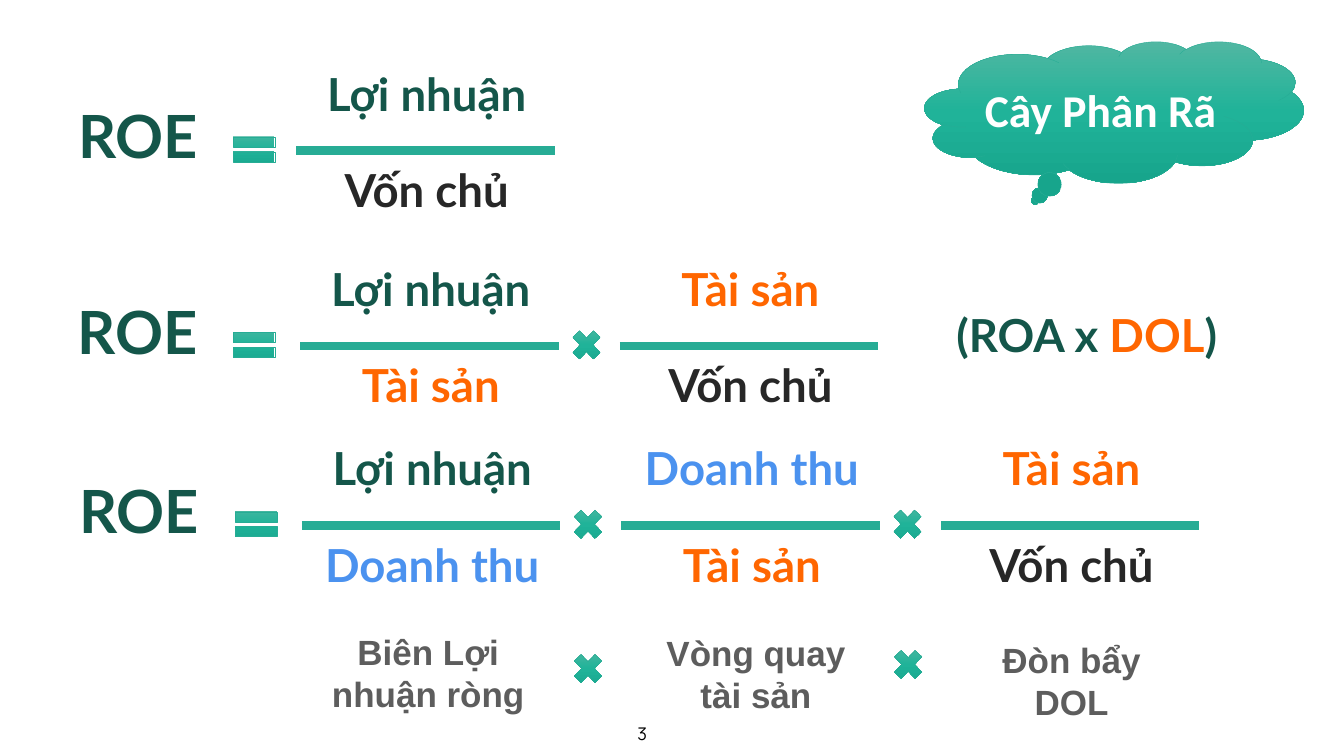
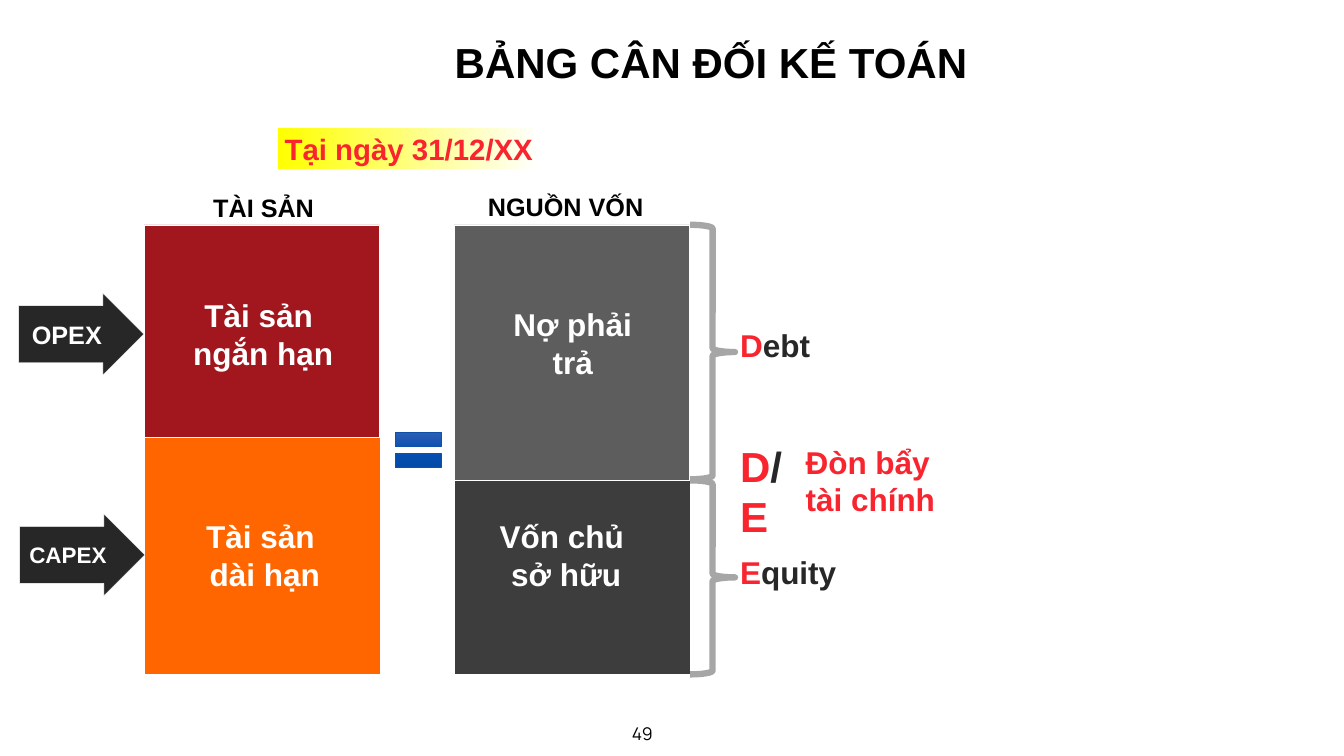
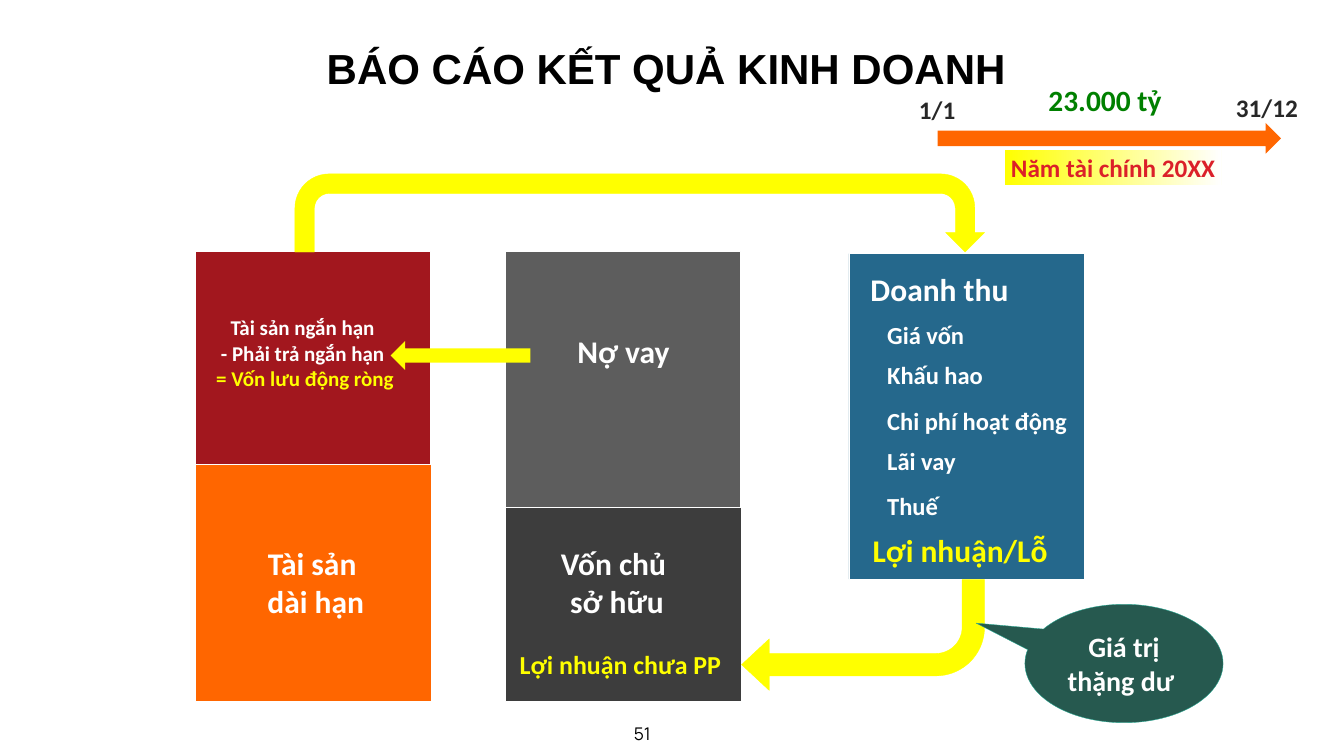
from dataclasses import dataclass, replace
from typing import NamedTuple, Optional, Union

from lxml.etree import SubElement
from pptx import Presentation
from pptx.dml.color import RGBColor
from pptx.enum.shapes import MSO_CONNECTOR, MSO_SHAPE as Preset
from pptx.enum.text import MSO_ANCHOR as Anchor, MSO_AUTO_SIZE as AutoSize, PP_ALIGN as Align
from pptx.oxml.ns import qn
from pptx.shapes.autoshape import Shape
from pptx.slide import Slide
from pptx.text.text import Font, TextFrame
from pptx.util import Pt

WHITE = RGBColor(0xFF, 0xFF, 0xFF)
BLACK = RGBColor(0, 0, 0)
INK = RGBColor(0x27, 0x27, 0x27)
DARK_GREEN = RGBColor(0x14, 0x56, 0x4A)
BUBBLE_GREEN = RGBColor(0x26, 0x59, 0x4F)
TEAL = RGBColor(0x27, 0xAC, 0x95)
MONEY_GREEN = RGBColor(0, 0x80, 0)
ORANGE = RGBColor(0xFF, 0x66, 0)
SKY = RGBColor(0x4B, 0x92, 0xEF)
NAVY = RGBColor(0x0F, 0x51, 0xA9)
STEEL = RGBColor(0x25, 0x68, 0x8C)
CRIMSON = RGBColor(0xA2, 0x17, 0x1E)
RED = RGBColor(0xF8, 0x24, 0x2E)
YEAR_RED = RGBColor(0xDB, 0x20, 0x29)
YELLOW = RGBColor(0xFF, 0xFF, 0)
GREY = RGBColor(0x5D, 0x5D, 0x5D)
CHARCOAL = RGBColor(0x3D, 0x3D, 0x3D)
SILVER = RGBColor(0xA6, 0xA6, 0xA6)


class Gradient(NamedTuple):
    colours: tuple[RGBColor, ...]
    angle: int


TEAL_FADE = Gradient((RGBColor(0x51, 0xB7, 0xA2), RGBColor(0x20, 0xB3, 0x99),
                      RGBColor(0x17, 0xA5, 0x8C)), 90)
BLUE_FADE = Gradient((RGBColor(0x4C, 0x69, 0xB5), RGBColor(0x07, 0x50, 0xB1),
                      RGBColor(0, 0x46, 0xA4)), 90)
YELLOW_FADE = Gradient((YELLOW, WHITE), 0)


class Box(NamedTuple):
    left: float
    top: float
    width: float
    height: float


@dataclass(frozen=True)
class TextStyle:
    font: str
    size: float
    colour: RGBColor
    bold: bool = True
    align: Align = Align.CENTER
    spacing: Union[Pt, float, None] = None


@dataclass(frozen=True)
class Look:
    fill: Union[RGBColor, Gradient, None] = None
    line: Optional[RGBColor] = None
    weight: float = 0.5


TERM = TextStyle("Lato", 65, DARK_GREEN, spacing=Pt(30))
ROE = replace(TERM, size=85, align=Align.LEFT)
TITLE = TextStyle("Arial", 60, BLACK, align=Align.LEFT, spacing=1.1)
PAGE_NUMBER = TextStyle("Manrope", 25, BLACK, bold=False)
HEADING = TextStyle("Arial", 36, BLACK)
CAPTION = TextStyle("Arial", 50, GREY)
BLOCK = TextStyle("Arial", 45, WHITE)
KEY = TextStyle("Arial", 45, RED, align=Align.LEFT)
CALIBRI = TextStyle("Calibri", 45, WHITE)
CALIBRI_LEFT = replace(CALIBRI, align=Align.LEFT)
TEAL_LOOK = Look(TEAL_FADE, TEAL)


def format_font(font: Font, style: TextStyle) -> None:
    font.name = style.font
    font.size = Pt(style.size)
    font.bold = style.bold
    font.color.rgb = style.colour


def write(frame: TextFrame, text: str, style: TextStyle) -> None:
    frame.text = text
    for paragraph in frame.paragraphs:
        paragraph.alignment = style.align
        if style.spacing is not None:
            paragraph.line_spacing = style.spacing
        for run in paragraph.runs:
            format_font(run.font, style)


def append_run(frame: TextFrame, text: str, style: TextStyle, colour: RGBColor) -> None:
    run = frame.paragraphs[-1].add_run()
    run.text = text
    format_font(run.font, replace(style, colour=colour))


def add_text(slide: Slide, box: Box, text: str, style: TextStyle, wrap: bool = True) -> TextFrame:
    frame = slide.shapes.add_textbox(*map(Pt, box)).text_frame
    frame.word_wrap = wrap
    frame.auto_size = AutoSize.SHAPE_TO_FIT_TEXT
    write(frame, text, style)
    return frame


def fill_gradient(shape: Shape, gradient: Gradient) -> None:
    shape.fill.gradient()
    shape.fill.gradient_angle = -gradient.angle % 360
    stops = shape.element.spPr.find(".//" + qn("a:gsLst"))
    for stop in list(stops):
        stops.remove(stop)
    step = 100000 // (len(gradient.colours) - 1)
    for index, colour in enumerate(gradient.colours):
        stop = SubElement(stops, qn("a:gs"), pos=str(index * step))
        SubElement(stop, qn("a:srgbClr"), val=str(colour))


def add_preset(slide: Slide, kind: Preset, box: Box, look: Look,
               adjustments: tuple[float, ...] = ()) -> Shape:
    shape = slide.shapes.add_shape(kind, *map(Pt, box))
    shape.shadow.inherit = False
    if isinstance(look.fill, Gradient):
        fill_gradient(shape, look.fill)
    elif look.fill is None:
        shape.fill.background()
    else:
        shape.fill.solid()
        shape.fill.fore_color.rgb = look.fill
    if look.line is None:
        shape.line.fill.background()
    else:
        shape.line.color.rgb = look.line
        shape.line.width = Pt(look.weight)
    for index, value in enumerate(adjustments):
        shape.adjustments[index] = value
    return shape


def label(shape: Shape, text: str, style: TextStyle, anchor: Anchor = Anchor.MIDDLE,
          wrap: bool = True) -> None:
    frame = shape.text_frame
    frame.word_wrap = wrap
    frame.vertical_anchor = anchor
    write(frame, text, style)


def add_page_number(slide: Slide, number: int) -> None:
    add_text(slide, Box(860.4, 1028.9, 113.8, 37.4), str(number), PAGE_NUMBER)


def set_title(slide: Slide, box: Box, text: str) -> None:
    title = slide.shapes.title
    title.left, title.top, title.width, title.height = map(Pt, box)
    frame = title.text_frame
    frame.auto_size = AutoSize.NONE
    frame.vertical_anchor = Anchor.TOP
    write(frame, text, TITLE)


# ROE formulas

class Term(NamedTuple):
    text: str
    colour: RGBColor


class Equation(NamedTuple):
    top: float
    roe_left: float
    equals_left: float
    left: float
    fractions: tuple[tuple[Term, Term], ...]


PROFIT = Term("Lợi nhuận", DARK_GREEN)
EQUITY = Term("Vốn chủ", INK)
ASSETS = Term("Tài sản", ORANGE)
REVENUE = Term("Doanh thu", SKY)

EQUATIONS = (
    Equation(138.2, 104.4, 321.8, 392.4, ((PROFIT, EQUITY),)),
    Equation(417.4, 103.7, 321.8, 398.2, ((PROFIT, ASSETS), (ASSETS, EQUITY))),
    Equation(673.6, 105.8, 324.7, 400.3,
             ((PROFIT, REVENUE), (REVENUE, ASSETS), (ASSETS, EQUITY))),
)
FRACTION_PITCH = 456.5
TIMES_OFFSET = 411


def add_times(slide: Slide, left: float, top: float) -> None:
    add_preset(slide, Preset.MATH_MULTIPLY, Box(left, top, 56.9, 59.8), TEAL_LOOK)


def add_fraction(slide: Slide, left: float, top: float, terms: tuple[Term, Term]) -> None:
    for term, offset in zip(terms, (0, 137.5)):
        add_text(slide, Box(left, top + offset, 434.2, 45.4), term.text,
                 replace(TERM, colour=term.colour))
    bar_left, bar_top = left + 30.8, top + 77
    bar = slide.shapes.add_connector(MSO_CONNECTOR.STRAIGHT, Pt(bar_left), Pt(bar_top),
                                     Pt(bar_left + 369), Pt(bar_top))
    bar.line.color.rgb = TEAL
    bar.line.width = Pt(12)
    SubElement(bar._element.spPr, qn("a:effectLst"))


def add_equation(slide: Slide, equation: Equation) -> None:
    top = equation.top
    add_text(slide, Box(equation.roe_left, top + 72, 285.8, 49.7), "ROE", ROE)
    add_preset(slide, Preset.MATH_EQUAL, Box(equation.equals_left, top + 45, 81.4, 60.5),
               TEAL_LOOK)
    for index, terms in enumerate(equation.fractions):
        left = equation.left + index * FRACTION_PITCH
        add_fraction(slide, left, top, terms)
        if index:
            add_times(slide, left - FRACTION_PITCH + TIMES_OFFSET, top + 45.4)


def build_roe(slide: Slide) -> None:
    cloud = add_preset(slide, Preset.CLOUD_CALLOUT, Box(1320.5, 59, 541.4, 202.3), TEAL_LOOK)
    label(cloud, "Cây Phân Rã", replace(CALIBRI, size=65))
    for equation in EQUATIONS:
        add_equation(slide, equation)
    summary = add_text(slide, Box(1334.9, 483.8, 434.2, 45.4), "(ROA x ", TERM)
    append_run(summary, "DOL", TERM, ORANGE)
    append_run(summary, ")", TERM, DARK_GREEN)
    for left, top, text in ((452.2, 897.8, "Biên Lợi nhuận ròng"),
                            (920.2, 898.6, "Vòng quay tài sản"),
                            (1370.9, 907.9, "Đòn bẩy DOL")):
        add_text(slide, Box(left, top, 319, 128.2), text, CAPTION)
    add_times(slide, 811.4, 925.2)
    add_times(slide, 1268.6, 919.4)


# Balance sheet and income statement

class Tile(NamedTuple):
    left: float
    top: float
    height: float
    colour: RGBColor


TILES = (
    Tile(0, 0, 303.8, CRIMSON),
    Tile(0.7, 303.8, 338.4, ORANGE),
    Tile(442.8, 0, 365, GREY),
    Tile(443.5, 365.4, 277.2, CHARCOAL),
)
TILE_WIDTH = 336.2


def add_balance_sheet(slide: Slide, left: float, top: float, style: TextStyle) -> None:
    for tile in TILES:
        add_preset(slide, Preset.RECTANGLE,
                   Box(left + tile.left, top + tile.top, TILE_WIDTH, tile.height),
                   Look(tile.colour, WHITE))
    for offset, text in ((46.4, "Tài sản \ndài hạn"), (476.7, "Vốn chủ \nsở hữu")):
        add_text(slide, Box(left + offset, top + 414, 252, 116.6), text, style)


def build_balance_sheet(slide: Slide) -> None:
    set_title(slide, Box(642.2, 41, 851, 81.4), "BẢNG CÂN ĐỐI KẾ TOÁN")
    add_balance_sheet(slide, 205.9, 321.1, BLOCK)
    add_text(slide, Box(249.8, 419, 252, 116.6), "Tài sản \nngắn hạn", BLOCK)
    add_text(slide, Box(691.9, 432, 252, 116.6), "Nợ phải trả", BLOCK)
    for box, text in ((Box(296.6, 270.7, 169.9, 51.1), "TÀI SẢN "),
                      (Box(688.3, 270, 239, 51.1), "NGUỒN VỐN")):
        heading = add_text(slide, box, text, HEADING, wrap=False)
        heading.vertical_anchor = Anchor.MIDDLE
    add_preset(slide, Preset.MATH_EQUAL, Box(553, 599.8, 89.3, 85), Look(BLUE_FADE, NAVY))

    for left, top, text, size in ((26.6, 419, "OPEX", 36), (28.1, 734.4, "CAPEX", 32)):
        arrow = add_preset(slide, Preset.RIGHT_ARROW, Box(left, top, 178.6, 116.6),
                           Look(INK, WHITE), (0.698, 0.5))
        label(arrow, text, replace(BLOCK, size=size))
    for top, height in ((321.1, 363.6), (686.2, 277.2)):
        add_preset(slide, Preset.RIGHT_BRACE, Box(985.7, top, 64.1, height),
                   Look(line=SILVER, weight=9))
    for top, initial, rest in ((462.2, "D", "ebt"), (787, "E", "quity")):
        word = add_text(slide, Box(1049.8, top, 172.1, 61.9), initial, KEY)
        append_run(word, rest, KEY, INK)

    ratio_style = replace(KEY, size=60)
    ratio = add_text(slide, Box(1049.8, 625.7, 111.6, 152.6), "D", ratio_style)
    append_run(ratio, "/", ratio_style, INK)
    append_run(ratio, "E", ratio_style, RED)
    add_text(slide, Box(1143.4, 628.6, 358.6, 116.6), "Đòn bẩy\ntài chính", KEY)
    date = add_preset(slide, Preset.RECTANGLE, Box(397.4, 182.9, 373, 58.3), Look(YELLOW_FADE))
    label(date, "Tại ngày 31/12/XX", replace(KEY, size=42, align=Align.CENTER), wrap=False)


COSTS = ((452.9, "Giá vốn"), (511.2, "Khấu hao"), (576.7, "Chi phí hoạt động"),
         (633.6, "Lãi vay"), (697.7, "Thuế"))


def add_financial_year(slide: Slide) -> None:
    add_preset(slide, Preset.RIGHT_ARROW, Box(1339.2, 175.7, 490.3, 43.9), Look(ORANGE))
    end_style = replace(CALIBRI, size=36, colour=INK)
    add_text(slide, Box(1212.5, 131, 252, 51.1), "1/1", end_style)
    add_text(slide, Box(1683.4, 128.2, 252, 51.1), "31/12", end_style)
    year = add_preset(slide, Preset.RECTANGLE, Box(1435, 213.8, 309.6, 51.1), Look(YELLOW_FADE))
    label(year, "Năm tài chính 20XX", replace(end_style, colour=YEAR_RED), Anchor.TOP)
    add_text(slide, Box(1423.4, 113.8, 309.6, 58.3), "23.000 tỷ",
             replace(CALIBRI, size=42, colour=MONEY_GREEN))


def build_income_statement(slide: Slide) -> None:
    set_title(slide, Box(459.4, 49.7, 1044.7, 87.1), "BÁO CÁO KẾT QUẢ KINH DOANH")
    add_balance_sheet(slide, 278.6, 359.3, CALIBRI)
    capital = add_text(slide, Box(279.4, 446.4, 312.5, 116.6),
                       "Tài sản ngắn hạn \n- Phải trả ngắn hạn \n= Vốn lưu động ròng",
                       replace(CALIBRI, size=30))
    capital.paragraphs[2].runs[0].font.color.rgb = YELLOW
    add_text(slide, Box(764.6, 470.2, 252, 61.9), "Nợ vay", CALIBRI)

    add_preset(slide, Preset.RECTANGLE, Box(1212.5, 362.2, TILE_WIDTH, 465.1),
               Look(STEEL, WHITE, 1))
    add_text(slide, Box(1236.2, 382.3, 252, 61.9), "Doanh thu", CALIBRI_LEFT)
    for top, text in COSTS:
        add_text(slide, Box(1260, top, 285.8, 49.7), text, replace(CALIBRI_LEFT, size=35))
    result_style = replace(CALIBRI_LEFT, colour=YELLOW)
    add_text(slide, Box(1239.1, 755.3, 307.4, 61.9), "Lợi nhuận/Lỗ", result_style)

    flow = Look(YELLOW, YELLOW)
    add_preset(slide, Preset.U_TURN_ARROW, Box(421.2, 248.4, 985, 111.6), flow,
               (0.25, 0.25, 0.25, 0.438, 1))
    retained = add_preset(slide, Preset.BENT_ARROW, Box(1059.1, 828, 347, 158.4), flow,
                          (0.202, 0.233, 0.25, 0.438))
    retained.rotation = 180
    add_text(slide, Box(735.1, 923, 323.3, 51.8), "Lợi nhuận chưa PP",
             replace(result_style, size=37))
    surplus = add_preset(slide, Preset.OVAL_CALLOUT, Box(1463.8, 863.3, 283, 169.2),
                         Look(BUBBLE_GREEN, TEAL), (-0.746, -0.341))
    label(surplus, "Giá trị thặng dư ", replace(CALIBRI, size=40))
    add_financial_year(slide)
    add_preset(slide, Preset.LEFT_ARROW, Box(558, 487.4, 199.4, 41), Look(YELLOW))


def main() -> None:
    presentation = Presentation()
    presentation.slide_width = Pt(1919.5)
    presentation.slide_height = Pt(1080)
    title_only, blank = presentation.slide_layouts[5], presentation.slide_layouts[6]
    for layout, build, number in ((blank, build_roe, 3),
                                  (title_only, build_balance_sheet, 49),
                                  (title_only, build_income_statement, 51)):
        slide = presentation.slides.add_slide(layout)
        add_page_number(slide, number)
        build(slide)
    presentation.save("out.pptx")


if __name__ == "__main__":
    main()
